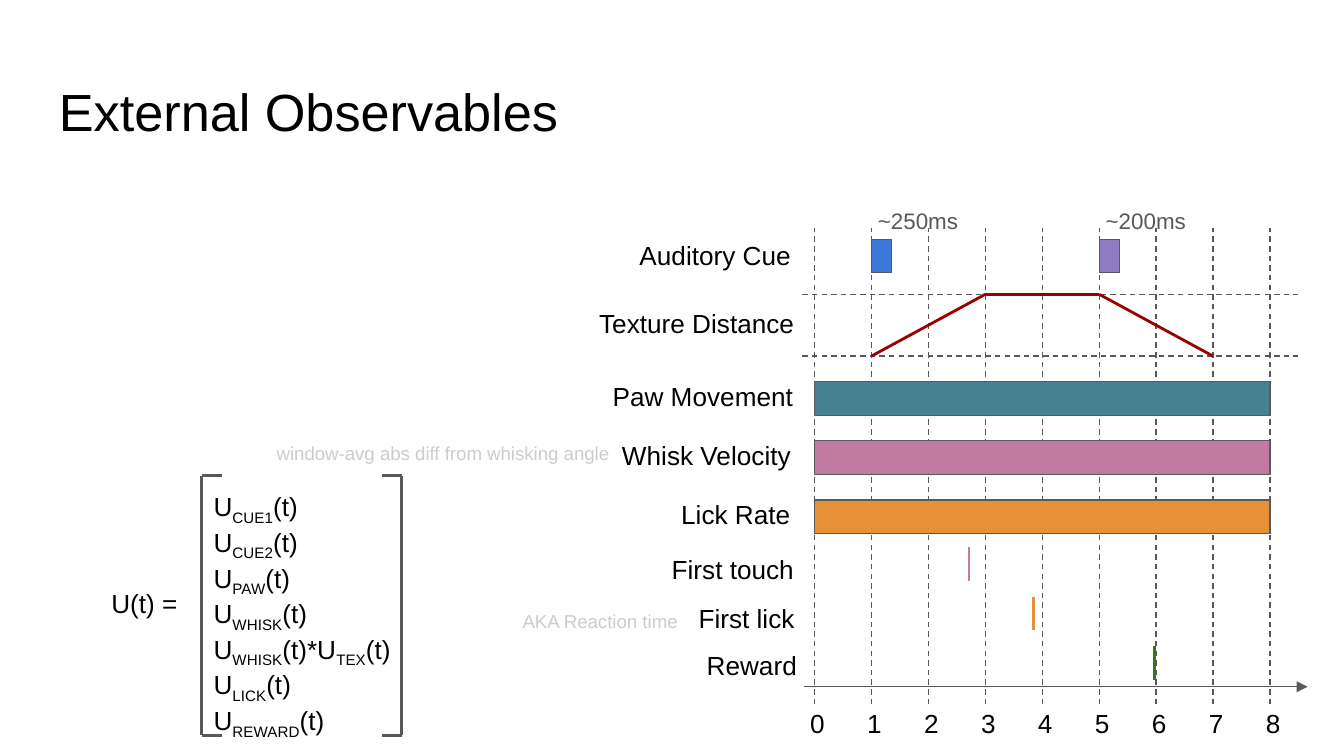
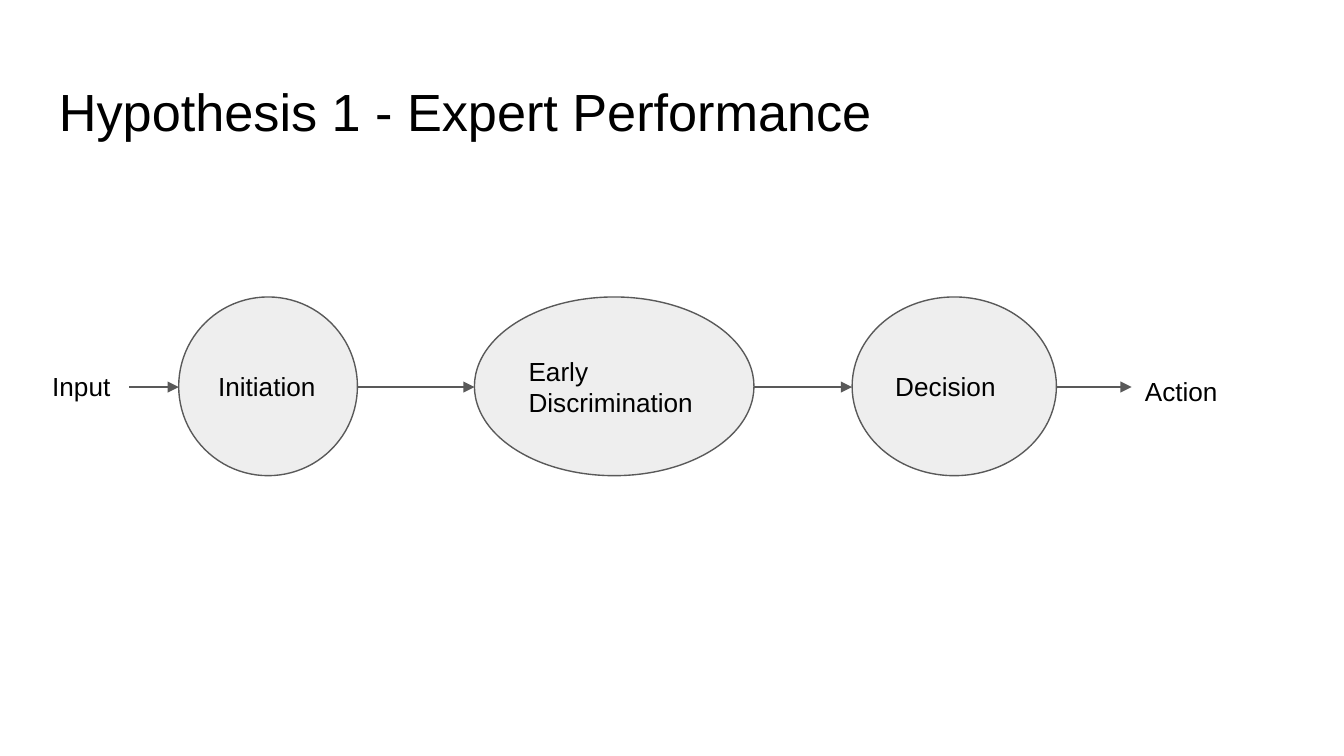
from itertools import pairwise

from lxml.etree import SubElement
from pptx import Presentation
from pptx.dml.color import RGBColor
from pptx.enum.dml import MSO_LINE
from pptx.enum.shapes import MSO_CONNECTOR, MSO_SHAPE
from pptx.enum.text import MSO_ANCHOR, PP_ALIGN
from pptx.oxml.ns import qn
from pptx.util import Inches, Pt

# Shared style
FONT = "Arial"
BLACK, GRAY, PALE, NODE_FILL = "000000", "595959", "CCCCCC", "EEEEEE"
BLUE, PURPLE, TEAL, PINK = "3C78D8", "8E7CC3", "45818E", "C27BA0"
ORANGE, RED, GREEN = "E69138", "990000", "38761D"

# Timeline geometry
TIME_START, TIME_STEP, TIME_END = 6.06, 3.39 / 8, 8
BAR_HEIGHT = 0.25
TEXTURE_FAR, TEXTURE_NEAR = 2.65, 2.19


def color(value):
    return RGBColor.from_string(value)


def time_x(seconds):
    return TIME_START + seconds * TIME_STEP


# Text
def add_run(paragraph, text, size, text_color, subscript=False):
    run = paragraph.add_run()
    run.text = text
    run.font.name = FONT
    run.font.size = Pt(size)
    run.font.color.rgb = color(text_color)
    if subscript:
        run.font._element.set("baseline", "-25000")


def prepare_frame(shape, anchor=MSO_ANCHOR.TOP):
    frame = shape.text_frame
    frame.word_wrap = True
    frame.vertical_anchor = anchor
    frame.margin_left = frame.margin_right = Inches(0.1)
    frame.margin_top = frame.margin_bottom = Inches(0.1)
    return frame


def next_paragraph(frame, index):
    return frame.add_paragraph() if index else frame.paragraphs[0]


def add_text(slide, text, left, top, width, height, size=14, text_color=BLACK):
    box = slide.shapes.add_textbox(
        Inches(left), Inches(top), Inches(width), Inches(height))
    paragraph = prepare_frame(box).paragraphs[0]
    if text:
        add_run(paragraph, text, size, text_color)
    return box


def add_title(slide, text):
    add_text(slide, text, 0.34, 0.49, 9.32, 0.63, size=28)


# Shapes and lines
def add_filled(slide, kind, left, top, width, height, fill):
    shape = slide.shapes.add_shape(
        kind, Inches(left), Inches(top), Inches(width), Inches(height))
    shape.shadow.inherit = False
    shape.fill.solid()
    shape.fill.fore_color.rgb = color(fill)
    shape.line.color.rgb = color(GRAY)
    shape.line.width = Pt(0.75)
    return shape


def add_line(slide, start, end, line_color=GRAY, width=0.75,
             dashed=False, arrow=False):
    points = [Inches(value) for value in (*start, *end)]
    connector = slide.shapes.add_connector(MSO_CONNECTOR.STRAIGHT, *points)
    connector.line.color.rgb = color(line_color)
    connector.line.width = Pt(width)
    if dashed:
        connector.line.dash_style = MSO_LINE.DASH
    if arrow:
        SubElement(connector.line._get_or_add_ln(), qn("a:tailEnd"), type="triangle")
    SubElement(connector._element.spPr, qn("a:effectLst"))
    return connector


def add_node(slide, lines, left, width):
    node = add_filled(slide, MSO_SHAPE.OVAL, left, 2.21, width, 1.33, NODE_FILL)
    frame = prepare_frame(node, MSO_ANCHOR.MIDDLE)
    for index, text in enumerate(lines):
        paragraph = next_paragraph(frame, index)
        paragraph.alignment = PP_ALIGN.LEFT
        add_run(paragraph, text, 14, BLACK)


# Timeline parts
def add_row_label(slide, text, left, top):
    add_text(slide, text, left, top, TIME_START - left, 0.46)


def add_bar(slide, start, top, width, fill):
    add_filled(slide, MSO_SHAPE.RECTANGLE, time_x(start), top, width, BAR_HEIGHT, fill)


def add_time_axis(slide):
    add_line(slide, (5.98, 5.11), (9.73, 5.11), arrow=True)
    for second in range(TIME_END + 1):
        add_line(slide, (time_x(second), 5.24), (time_x(second), 1.7), dashed=True)

    # One line of numbers, spaced by tab stops
    numbers = add_text(slide, "\t".join(str(second) for second in range(TIME_END + 1)),
                       5.93, 5.16, 3.84, 0.25)
    properties = numbers.text_frame.paragraphs[0]._p.get_or_add_pPr()
    tab_list = SubElement(properties, qn("a:tabLst"))
    for second in range(1, TIME_END + 1):
        SubElement(tab_list, qn("a:tab"), pos=str(Inches(second * TIME_STEP)), algn="l")


def add_cues(slide):
    for start, text, fill in ((1, "~250ms", BLUE), (5, "~200ms", PURPLE)):
        add_bar(slide, start, 1.78, 0.15, fill)
        caption = add_text(slide, text, time_x(start) - 0.05, 1.41, 0.9, 0.4, 12, GRAY)
        paragraph = caption.text_frame.paragraphs[0]
        paragraph.line_spacing = 1.15
        paragraph.space_after = Pt(16)
    add_row_label(slide, "Auditory Cue", 4.66, 1.68)


def add_texture_distance(slide):
    for level in (TEXTURE_FAR, TEXTURE_NEAR):
        add_line(slide, (5.97, level), (9.66, level), dashed=True)
    course = ((1, TEXTURE_FAR), (3, TEXTURE_NEAR), (5, TEXTURE_NEAR), (7, TEXTURE_FAR))
    points = [(time_x(second), level) for second, level in course]
    for start, end in pairwise(points):
        add_line(slide, start, end, RED, 1.5)
    add_row_label(slide, "Texture Distance", 4.36, 2.19)


def add_state_vector(slide):
    vector = add_text(slide, "", 1.49, 3.55, 1.55, 1.89)
    rows = (["CUE1"], ["CUE2"], ["PAW"], ["WHISK"], ["WHISK", "TEX"],
            ["LICK"], ["REWARD"])
    for index, factors in enumerate(rows):
        paragraph = next_paragraph(vector.text_frame, index)
        add_run(paragraph, "U", 14, BLACK)
        for position, name in enumerate(factors, start=1):
            add_run(paragraph, name, 14, BLACK, subscript=True)
            add_run(paragraph, "(t)*U" if position < len(factors) else "(t)", 14, BLACK)
    add_text(slide, "U(t) =", 0.73, 4.27, 0.76, 0.46)

    # Square brackets
    top, bottom = 3.54, 5.47
    for edge, tip in ((1.5, 1.65), (2.99, 2.84)):
        add_line(slide, (edge, top), (edge, bottom), width=1.5)
        for level in (top, bottom):
            add_line(slide, (tip, level), (edge, level), width=1.5)


# Slides
def build_observables(slide):
    add_title(slide, "External Observables")
    add_time_axis(slide)
    add_cues(slide)
    add_texture_distance(slide)

    # Signals recorded all the time
    for text, left, top, fill in (("Paw Movement", 4.46, 2.84, TEAL),
                                  ("Whisk Velocity", 4.53, 3.28, PINK),
                                  ("Lick Rate", 4.97, 3.72, ORANGE)):
        add_bar(slide, 0, top, TIME_END * TIME_STEP, fill)
        add_row_label(slide, text, left, top - 0.11)

    # Single events
    for text, left, label_top, x, top, mark in (
            ("First touch", 4.9, 4.02, 7.21, 4.07, PINK),
            ("First lick", 5.1, 4.38, 7.69, 4.44, ORANGE),
            ("Reward", 5.16, 4.73, 8.59, 4.81, GREEN)):
        add_line(slide, (x, top), (x, top + BAR_HEIGHT), mark, 1.5)
        add_row_label(slide, text, left, label_top)

    # Side remarks
    add_text(slide, "AKA Reaction time", 3.79, 4.45, 1.5, 0.31, 10, PALE)
    add_text(slide, "window-avg abs diff from whisking angle",
             1.96, 3.2, 2.79, 0.35, 10, PALE)
    add_state_vector(slide)


def build_hypothesis(slide):
    add_title(slide, "Hypothesis 1 - Expert Performance")
    stages = ((["Initiation"], 1.33, 1.33),
              (["Early", "Discrimination"], 3.53, 2.08),
              (["Decision"], 6.34, 1.52))
    for lines, left, width in stages:
        add_node(slide, lines, left, width)
    source = add_text(slide, "Input", 0.29, 2.66, 0.67, 0.44)
    target = add_text(slide, "Action", 8.42, 2.69, 0.84, 0.38)

    # Arrows from each stage to the next
    starts = [0.96] + [left + width for _, left, width in stages]
    ends = [left for _, left, _ in stages] + [8.42]
    arrows = [add_line(slide, (start, 2.88), (end, 2.88), arrow=True)
              for start, end in zip(starts, ends)]
    arrows[0].begin_connect(source, 3)
    arrows[-1].end_connect(target, 1)


def main():
    presentation = Presentation()
    presentation.slide_width = Inches(10)
    presentation.slide_height = Inches(10) * 9 // 16
    blank = presentation.slide_layouts[6]
    for build in (build_observables, build_hypothesis):
        build(presentation.slides.add_slide(blank))
    presentation.save("out.pptx")


if __name__ == "__main__":
    main()
